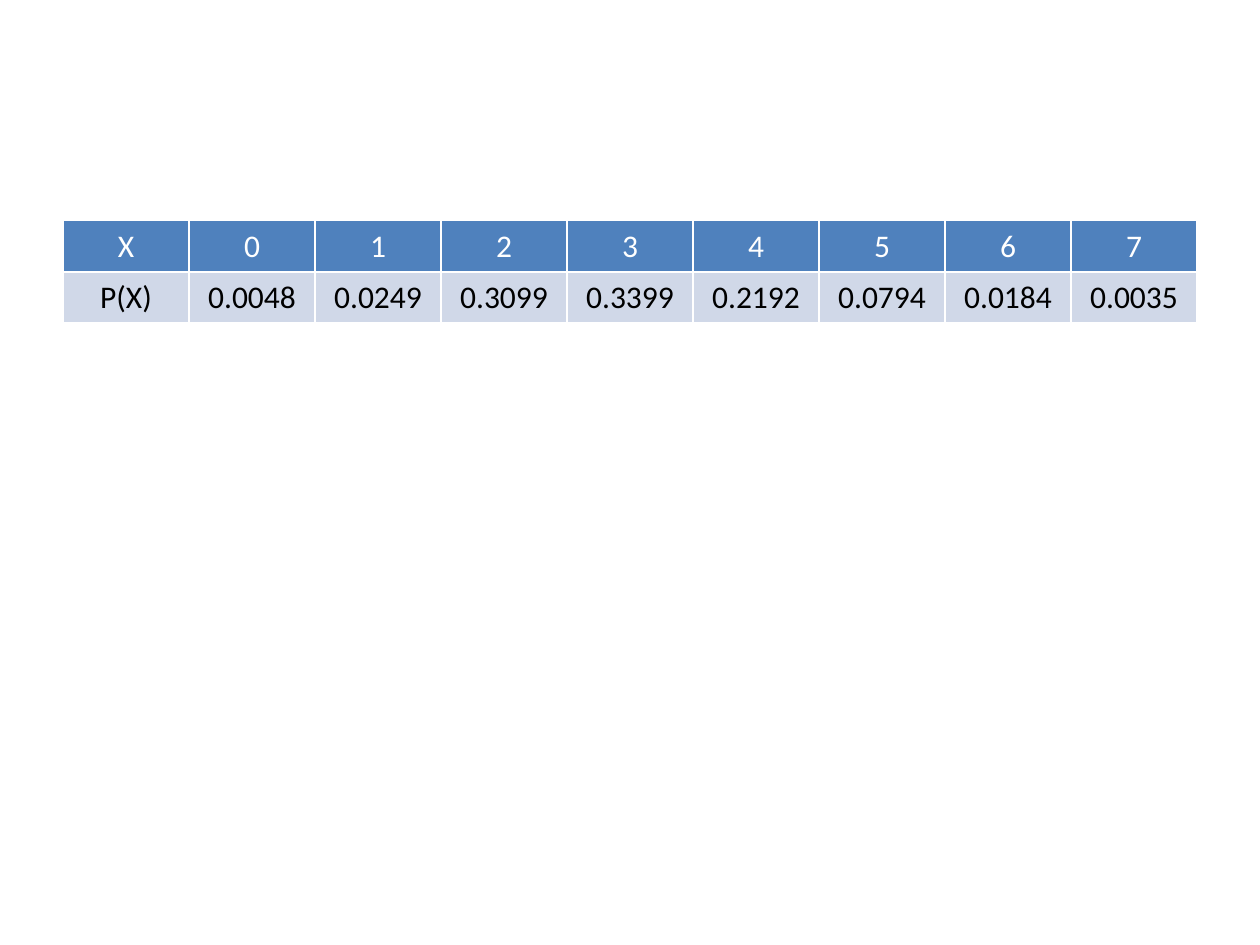
from lxml import etree
from pptx import Presentation
from pptx import util as u
from pptx.dml.color import RGBColor
from pptx.enum import text
from pptx.oxml.ns import qn

COLORS = {"header": "4F81BD", "body": "D0D8E8", "white": "FFFFFF", "black": "000000"}

ROWS = [
    ["X", "0", "1", "2", "3", "4", "5", "6", "7"],
    ["P(X)", "0.0048", "0.0249", "0.3099", "0.3399", "0.2192", "0.0794", "0.0184", "0.0035"],
]
COL_W, ROW_H = u.Cm(2.54), u.Cm(1.03)


def add_borders(cell, color, width):
    tc_pr = cell._tc.get_or_add_tcPr()
    for side in ("lnL", "lnR", "lnT", "lnB"):
        ln = etree.SubElement(tc_pr, qn(f"a:{side}"), w=str(width))
        fill = etree.SubElement(ln, qn("a:solidFill"))
        etree.SubElement(fill, qn("a:srgbClr"), val=color)


# Blank 4:3 slide
prs = Presentation()
prs.slide_width, prs.slide_height = u.Cm(25.4), u.Cm(19.05)
s = prs.slides.add_slide(prs.slide_layouts[6])

# Probability distribution table
n_rows, n_cols = len(ROWS), len(ROWS[0])
table = s.shapes.add_table(n_rows, n_cols, u.Cm(1.27), u.Cm(4.45),
                           COL_W * n_cols, ROW_H * n_rows).table
table.horz_banding = False
for col in table.columns:
    col.width = COL_W

# Header row on blue, probabilities on pale blue
styles = [("header", "white"), ("body", "black")]
for i, (values, (fill, ink)) in enumerate(zip(ROWS, styles)):
    table.rows[i].height = ROW_H
    for j, value in enumerate(values):
        cell = table.cell(i, j)
        add_borders(cell, COLORS["white"], u.Pt(1))
        cell.fill.solid()
        cell.fill.fore_color.rgb = RGBColor.from_string(COLORS[fill])
        cell.text = value
        p = cell.text_frame.paragraphs[0]
        p.alignment = text.PP_ALIGN.CENTER
        p.font.name = "Calibri"
        p.font.size = u.Pt(18)
        p.font.bold = False
        p.font.color.rgb = RGBColor.from_string(COLORS[ink])

prs.save("out.pptx")
